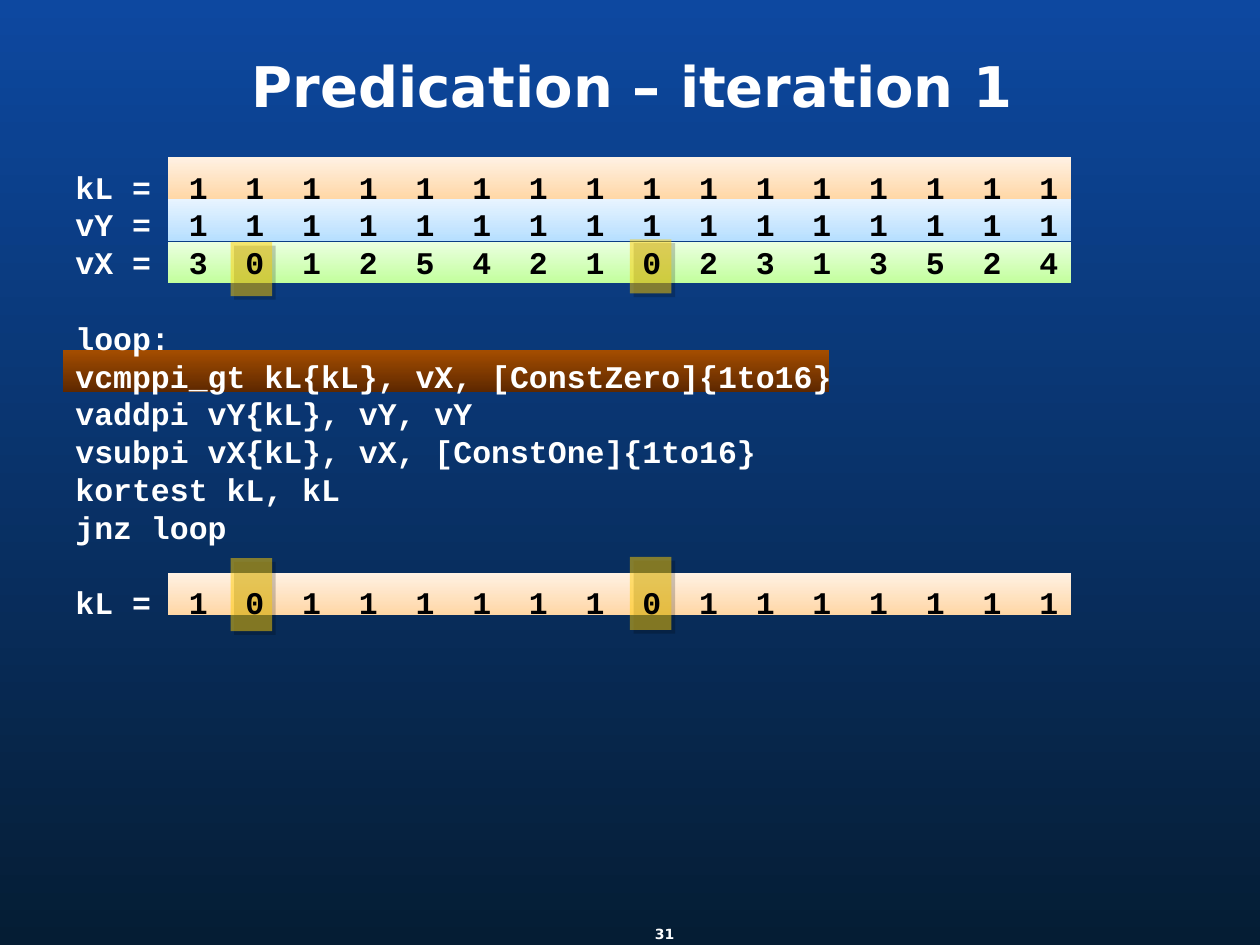
from pptx import Presentation
from pptx.dml.color import RGBColor
from pptx.enum.shapes import MSO_SHAPE
from pptx.enum.text import MSO_ANCHOR, PP_ALIGN
from pptx.oxml import parse_xml
from pptx.oxml.ns import nsdecls
from pptx.util import Inches, Pt

# Content: a pair is a register and its 16 lane values, a string is code
TITLE = "Predication – iteration 1"
PAGE_NUMBER = "31"
LINES = [
    ("kL =", "1111111111111111"),
    ("vY =", "1111111111111111"),
    ("vX =", "3012542102313524"),
    "loop:",
    "vcmppi_gt kL{kL}, vX, [ConstZero]{1to16}",
    "vaddpi vY{kL}, vY, vY",
    "vsubpi vX{kL}, vX, [ConstOne]{1to16}",
    "kortest kL, kL",
    "jnz loop",
    ("kL =", "1011111101111111"),
]
GROUP_STARTS = (3, 9)  # lines preceded by a one-line gap

# Format
ORANGE, BLUE, GREEN = ("FFD7A6", "FFF1E3"), ("B7DFFF", "E8F4FF"), ("C2FF9C", "EBFFE1")
BROWN, BACKDROP = ("5E2800", "A44D00"), ("051D34", "0D48A0")
WHITE, BLACK, GOLD = "FFFFFF", "000000", "FFCC00"
CODE_FONT = {"name": "Courier New", "size": Pt(18), "bold": True}
TITLE_FONT = {"name": "DejaVu Sans", "size": Pt(32), "bold": True}
PAGE_FONT = {"name": "DejaVu Sans", "size": Pt(8), "bold": True}
LINE_PITCH = Pt(21.6)
FIRST_LANE, LANE_PITCH, LANES = 0.9, 0.45, 16

# Bands: left, top, width, gradient from bottom to top
BAND_HEIGHT = 0.33
BANDS = [
    (1.33, 4.55, 7.17, ORANGE),
    (0.5, 2.78, 6.08, BROWN),
    (1.33, 1.58, 7.17, BLUE),
    (1.33, 1.92, 7.17, GREEN),
    (1.33, 1.25, 7.17, ORANGE),
]
# Markers over the zero lanes: left, top, height
MARKER_WIDTH = 0.33
MARKERS = [(1.83, 4.43, 0.58), (5, 4.42, 0.58), (1.83, 1.92, 0.43), (5, 1.9, 0.43)]


def color(value):
    return RGBColor.from_string(value)


def fill_gradient(fill, colors):
    fill.gradient()
    fill.gradient_angle = 90
    for stop, position, value in zip(fill.gradient_stops, (0, 1), colors):
        stop.position = position
        stop.color.rgb = color(value)


def add_rectangle(left, top, width, height):
    box = slide.shapes.add_shape(
        MSO_SHAPE.RECTANGLE, Inches(left), Inches(top), Inches(width), Inches(height))
    box.shadow.inherit = False
    box.line.fill.background()
    return box


def add_span(para, text, font, value):
    span = para.add_run()
    span.text = text
    for name, setting in font.items():
        setattr(span.font, name, setting)
    span.font.color.rgb = color(value)


def place(box, left, top, width, height):
    box.left, box.top = Inches(left), Inches(top)
    box.width, box.height = Inches(width), Inches(height)


def set_frame(frame, **settings):
    frame.word_wrap = True
    for name, setting in settings.items():
        setattr(frame, name, setting)


def add_lane_tabs(para):
    tabs = "".join(
        f'<a:tab pos="{Inches(FIRST_LANE + LANE_PITCH * lane)}" algn="l"/>'
        for lane in range(LANES))
    para._p.get_or_add_pPr().append(
        parse_xml(f'<a:tabLst {nsdecls("a")}>{tabs}</a:tabLst>'))


deck = Presentation()
deck.slide_width, deck.slide_height = Inches(10), Inches(7.5)
slide = deck.slides.add_slide(deck.slide_layouts[5])
fill_gradient(slide.background.fill, BACKDROP)

# Title
title = slide.shapes.title
place(title, 0.42, 0.25, 9.2, 0.92)
set_frame(title.text_frame, vertical_anchor=MSO_ANCHOR.MIDDLE)
para = title.text_frame.paragraphs[0]
para.alignment, para.line_spacing = PP_ALIGN.CENTER, 0.9
add_span(para, TITLE, TITLE_FONT, WHITE)

# Bands behind the registers and the current instruction
for left, top, width, colors in BANDS:
    fill_gradient(add_rectangle(left, top, width, BAND_HEIGHT).fill, colors)

# Translucent markers with a hard shadow
for left, top, height in MARKERS:
    marker = add_rectangle(left, top, MARKER_WIDTH, height)
    marker.fill.solid()
    marker.fill.fore_color.rgb = color(GOLD)
    properties = marker._element.spPr
    properties.find(".//{*}solidFill/{*}srgbClr").append(
        parse_xml(f'<a:alpha {nsdecls("a")} val="50000"/>'))
    properties.find("{*}effectLst").append(parse_xml(
        f'<a:outerShdw {nsdecls("a")} blurRad="0" dist="{Pt(3)}" dir="2700000" '
        f'algn="ctr" rotWithShape="0"><a:srgbClr val="{BLACK}">'
        '<a:alpha val="40000"/></a:srgbClr></a:outerShdw>'))

# Registers and code
code = slide.shapes.add_textbox(Inches(0.5), Inches(1.25), Inches(9), Inches(5.45))
set_frame(code.text_frame, margin_top=Inches(0.08))
for index, line in enumerate(LINES):
    para = code.text_frame.paragraphs[0] if index == 0 else code.text_frame.add_paragraph()
    para.line_spacing = LINE_PITCH
    if index in GROUP_STARTS:
        para.space_before = LINE_PITCH
    if isinstance(line, str):
        add_span(para, line, CODE_FONT, WHITE)
    else:
        label, values = line
        add_lane_tabs(para)
        add_span(para, label + "\t", CODE_FONT, WHITE)
        add_span(para, "\t".join(values), CODE_FONT, BLACK)

# Page number
page = slide.shapes.add_textbox(Inches(5.05), Inches(7.25), Inches(0.45), Inches(0.33))
set_frame(page.text_frame, vertical_anchor=MSO_ANCHOR.MIDDLE,
          margin_left=0, margin_top=0, margin_right=0, margin_bottom=0)
para = page.text_frame.paragraphs[0]
para.alignment = PP_ALIGN.CENTER
add_span(para, PAGE_NUMBER, PAGE_FONT, WHITE)

deck.save("out.pptx")
